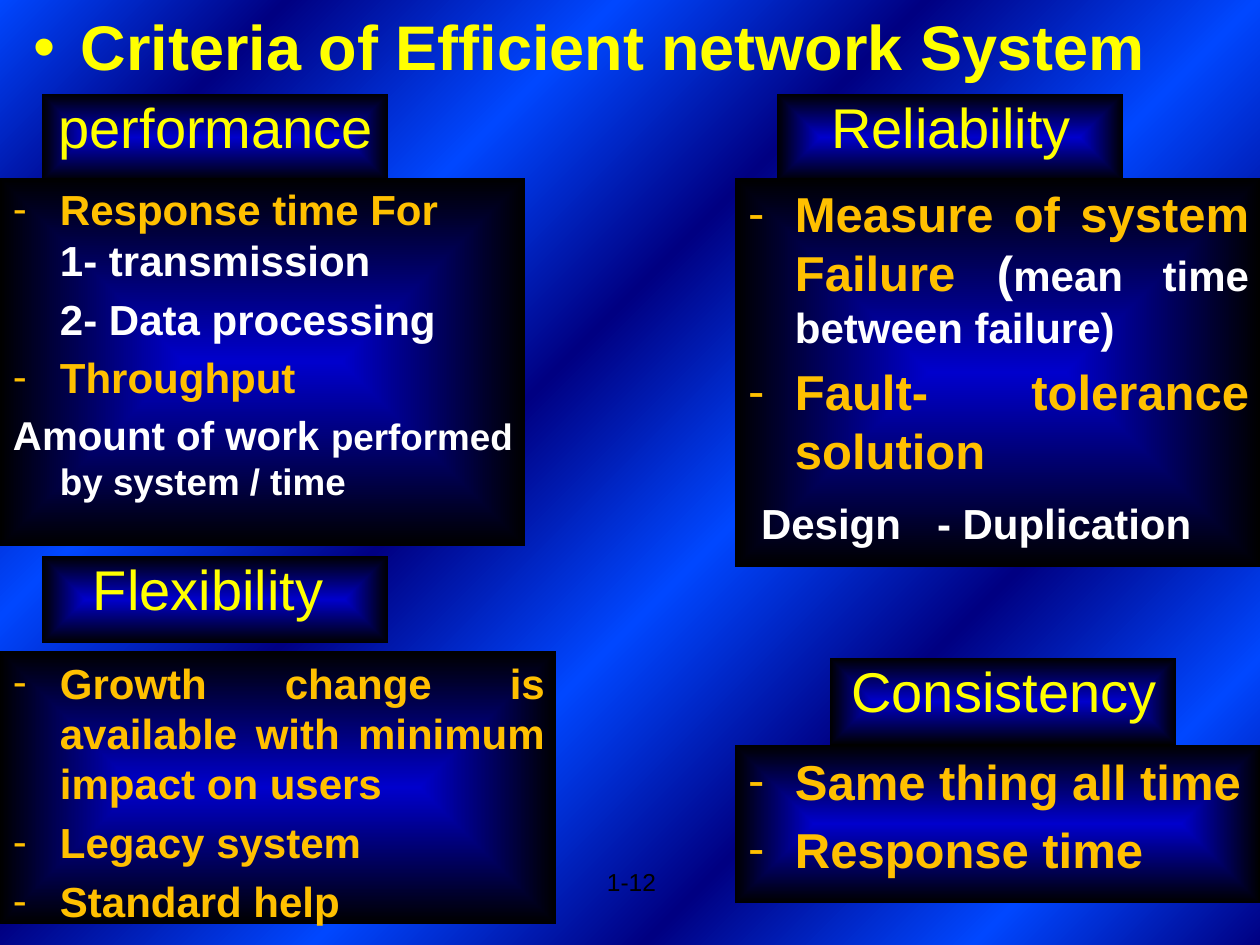
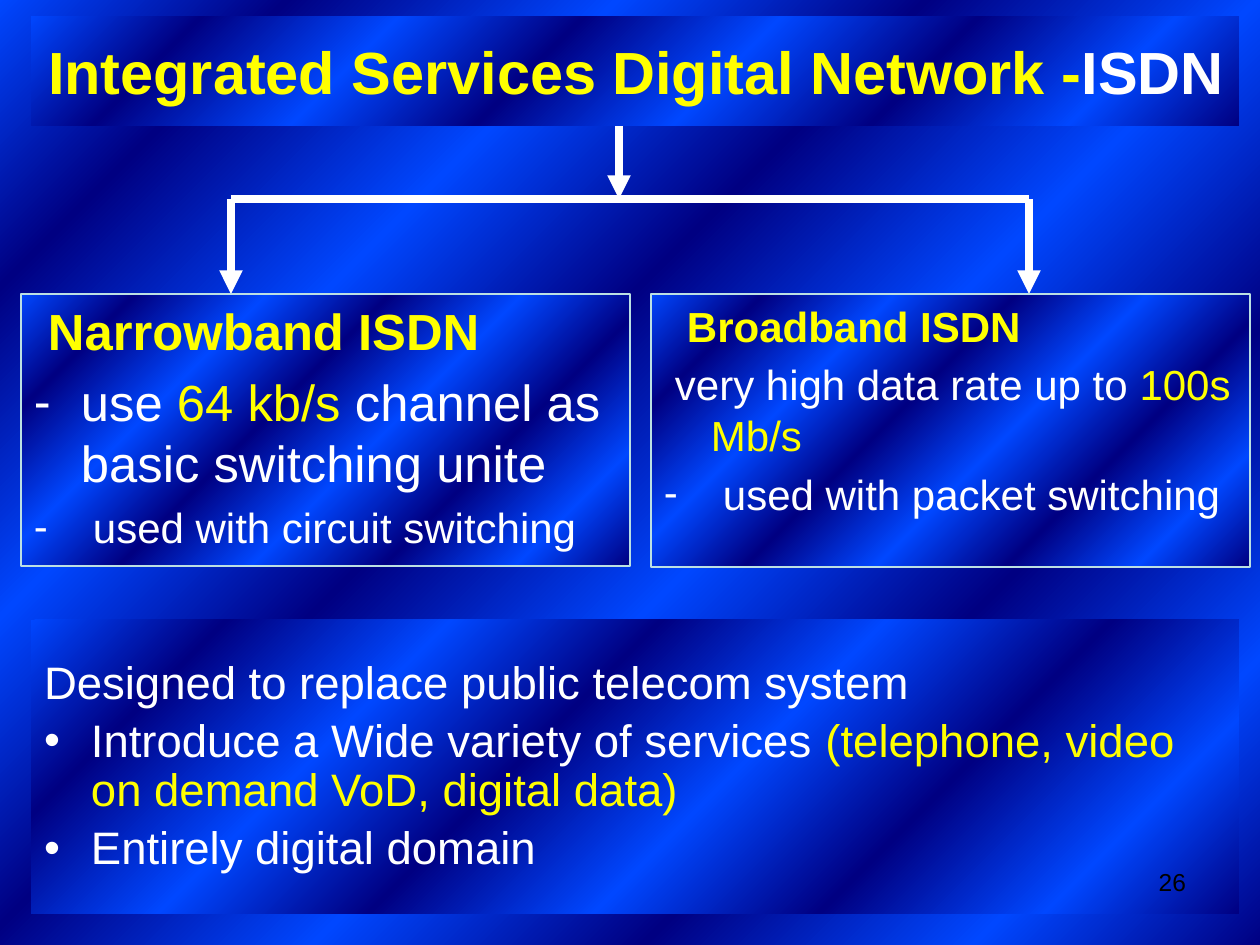
from dataclasses import dataclass
from typing import Any, Optional

import pptx
import pptx.dml.color
import pptx.enum.shapes
import pptx.enum.text
import pptx.oxml
import pptx.oxml.ns
import pptx.util

RGB = pptx.dml.color.RGBColor
ALIGN = pptx.enum.text.PP_ALIGN
ANCHOR = pptx.enum.text.MSO_ANCHOR
qn = pptx.oxml.ns.qn

WHITE = RGB(0xFF, 0xFF, 0xFF)
BLACK = RGB(0, 0, 0)
YELLOW = RGB(0xFF, 0xFF, 0)
GOLD = RGB(0xFF, 0xC0, 0)
PALE = RGB(0xBB, 0xE0, 0xE3)
NAVY = RGB(0, 0, 0x82)
BRIGHT = RGB(0, 0x47, 0xFF)
DEEP = RGB(0, 0, 0xCC)

FACE = "Arial"
SCALE = 914400 / 126
HANG = 47
INSET = 6
GAP = 0.2


@dataclass(frozen=True)
class Blend:
    stops: tuple
    shape: str
    focus: tuple


@dataclass(frozen=True)
class Run:
    text: str
    size: int
    color: RGB
    bold: bool = False
    wrap: bool = False


@dataclass(frozen=True)
class Para:
    runs: tuple
    bullet: str = ""
    align: Any = ALIGN.LEFT
    left: int = HANG
    first: int = -HANG
    lead: float = 1.0
    before: Optional[float] = None
    tabs: tuple = ()


@dataclass(frozen=True)
class Box:
    x: int
    y: int
    w: int
    h: int


@dataclass(frozen=True)
class Panel:
    name: str
    head: Box
    body: Box
    paras: tuple


WAVES = Blend(
    tuple((at, BRIGHT if i % 2 else NAVY)
          for i, at in enumerate((0, 13, 28, 43, 58, 72, 87, 100))),
    "circle", (100, 100, 0, 0))
GLOW = Blend(((0, DEEP), (100, BLACK)), "shape", (50, 50, 50, 50))


def px(n: int) -> pptx.util.Emu:
    return pptx.util.Emu(round(n * SCALE))


def put(obj: Any, vals: dict) -> None:
    for key, val in vals.items():
        setattr(obj, key, val)


def add(root: Any, tag: str, **vals: Any) -> Any:
    node = pptx.oxml.parse_xml(f"<{tag} {pptx.oxml.ns.nsdecls('a')}/>")
    for key, val in vals.items():
        node.set(key, str(val))
    root.append(node)
    return node


def shade(fill: Any, root: Any, blend: Blend) -> None:
    fill.gradient()
    node = root.find(".//" + qn("a:gradFill"))
    for child in list(node):
        node.remove(child)
    stops = add(node, "a:gsLst")
    for at, color in blend.stops:
        add(add(stops, "a:gs", pos=at * 1000), "a:srgbClr", val=color)
    way = add(node, "a:path", path=blend.shape)
    sides = {side: n * 1000 for side, n in zip("ltrb", blend.focus)}
    add(way, "a:fillToRect", **sides)


def write(shape: Any, paras: tuple, top: int = INSET,
          anchor: Any = ANCHOR.TOP) -> None:
    frame = shape.text_frame
    put(frame, {
        "word_wrap": True, "auto_size": pptx.enum.text.MSO_AUTO_SIZE.NONE,
        "vertical_anchor": anchor, "margin_top": px(top), "margin_bottom": px(6),
        "margin_left": px(13), "margin_right": px(11)})
    for i, para in enumerate(paras):
        line = frame.add_paragraph() if i else frame.paragraphs[0]
        props = line._p.get_or_add_pPr()
        props.set("marL", str(px(para.left)))
        props.set("indent", str(px(para.first)))
        if para.bullet:
            add(props, "a:buFont", typeface=FACE)
            add(props, "a:buChar", char=para.bullet)
        else:
            add(props, "a:buNone")
        if para.tabs:
            stops = add(props, "a:tabLst")
            for at in para.tabs:
                add(stops, "a:tab", pos=px(at), algn="l")
        gap = para.runs[0].size * GAP if para.before is None else para.before
        put(line, {"alignment": para.align, "line_spacing": para.lead,
                   "space_before": pptx.util.Pt(gap if i else 0)})
        for run in para.runs:
            if run.wrap:
                line.add_line_break()
            part = line.add_run()
            part.text = run.text
            put(part.font, {"name": FACE, "size": pptx.util.Pt(run.size),
                            "bold": run.bold})
            part.font.color.rgb = run.color


def place(shape: Any, box: Box) -> None:
    put(shape, {"left": px(box.x), "top": px(box.y),
                "width": px(box.w), "height": px(box.h)})


def block(slide: Any, box: Box, blend: Blend, paras: tuple,
          edge: Optional[RGB] = None) -> None:
    kind = pptx.enum.shapes.MSO_SHAPE.RECTANGLE
    shape = slide.shapes.add_shape(kind, 0, 0, 0, 0)
    place(shape, box)
    shape.shadow.inherit = False
    shade(shape.fill, shape._element, blend)
    if edge is None:
        shape.line.fill.background()
    else:
        shape.line.color.rgb = edge
        shape.line.width = pptx.util.Pt(0.75)
    write(shape, paras)


def number(slide: Any, box: Box, text: str, align: Any) -> None:
    shape = slide.shapes.add_textbox(0, 0, 0, 0)
    place(shape, box)
    write(shape, (Para((Run(text, 14, BLACK),), align=align, left=0, first=0),))


def link(slide: Any, ends: tuple, arrow: bool) -> None:
    kind = pptx.enum.shapes.MSO_CONNECTOR.STRAIGHT
    line = slide.shapes.add_connector(kind, *map(px, ends))
    line.line.color.rgb = WHITE
    line.line.width = pptx.util.Pt(4.5)
    props = line._element.spPr
    if arrow:
        add(props.find(qn("a:ln")), "a:tailEnd", type="triangle")
    add(props, "a:effectLst")


def point(text: str, size: int) -> Para:
    return Para((Run(text, size, GOLD, True),), "-", ALIGN.JUSTIFY)


def head(x: int, y: int) -> Box:
    return Box(x, y, 346, 87)


PANELS = (
    Panel("performance", head(42, 94), Box(0, 178, 525, 368), (
        Para((Run("Response time For", 24, GOLD, True),
              Run("1- transmission", 24, WHITE, True, True)), "-"),
        Para((Run("2- Data processing", 24, WHITE, True),), first=0),
        point("Throughput", 24),
        Para((Run("Amount of work ", 23, WHITE, True),
              Run("performed by system / time", 21, WHITE, True))))),
    Panel("Reliability", head(777, 94), Box(735, 178, 525, 389), (
        Para((Run("Measure of system Failure", 28, GOLD, True),
              Run(" (", 28, WHITE, True),
              Run("mean time between failure)", 24, WHITE, True)),
             "-", ALIGN.JUSTIFY),
        point("Fault- tolerance solution", 28),
        Para((Run("Design\t- Duplication", 24, WHITE, True),),
             left=0, first=13, before=10, tabs=(188,)))),
    Panel("Consistency", head(830, 658), Box(735, 745, 525, 158), (
        point("Same thing all time", 28),
        point("Response time", 28))),
    Panel("Flexibility ", head(42, 556), Box(0, 651, 556, 273), (
        point("Growth change is available with minimum impact on users", 24),
        point("Legacy system", 24),
        point("Standard help", 24))),
)

NARROW = (
    Para((Run("Narrowband ISDN", 29, YELLOW, True),), first=14 - HANG),
    Para((Run("use ", 29, WHITE), Run("64 kb/s", 29, YELLOW),
          Run(" channel as basic switching unite", 29, WHITE)), "-"),
    Para((Run("used with circuit switching", 24, WHITE),), "-", left=59, first=-59),
)
BROAD = (
    Para((Run("Broadband ISDN", 24, YELLOW, True),), first=23 - HANG),
    Para((Run("very high data rate up to ", 24, WHITE),
          Run("100s Mb/s", 24, YELLOW)), first=11 - HANG),
    Para((Run("used with packet switching", 24, WHITE),), "-", left=59, first=-59),
)
GOALS = (
    Para((Run("Designed to replace public telecom system", 26, WHITE),), lead=0.9),
    Para((Run("Introduce a Wide variety of services ", 26, WHITE),
          Run("(telephone, video on demand VoD, digital data)", 26, YELLOW)),
         "•", lead=0.9),
    Para((Run("Entirely digital domain", 26, WHITE),), "•", lead=0.9),
)
LINKS = (
    ((231, 199, 1029, 199), False),
    ((231, 199, 231, 294), True),
    ((1029, 199, 1029, 294), True),
    ((619, 126, 619, 199), True),
)


def goals(deck: Any) -> None:
    slide = deck.slides.add_slide(deck.slide_layouts[5])
    title = slide.shapes.title
    place(title, Box(21, 10, 1229, 82))
    write(title, (Para((Run("Criteria of Efficient network System", 36, YELLOW, True),),
                       "•", lead=0.9),))
    number(slide, Box(431, 861, 399, 66), "1-12", ALIGN.CENTER)
    for panel in PANELS:
        name = Para((Run(panel.name, 32, YELLOW),), align=ALIGN.CENTER,
                    left=0, first=0, lead=0.9)
        block(slide, panel.head, GLOW, (name,))
        block(slide, panel.body, GLOW, panel.paras)


def isdn(deck: Any) -> None:
    slide = deck.slides.add_slide(deck.slide_layouts[1])
    title, body = slide.shapes.title, slide.placeholders[1]
    for shape, box in ((title, Box(31, 16, 1208, 110)),
                       (body, Box(31, 620, 1208, 294))):
        place(shape, box)
        shade(shape.fill, shape._element, WAVES)
    write(title, (Para((Run("Integrated Services Digital Network -", 34, YELLOW, True),
                        Run("ISDN", 34, WHITE, True)),
                       align=ALIGN.CENTER, left=0, first=0),), anchor=ANCHOR.MIDDLE)
    write(body, GOALS, 40)
    for ends, arrow in LINKS:
        link(slide, ends, arrow)
    block(slide, Box(21, 294, 609, 272), WAVES, NARROW, PALE)
    block(slide, Box(651, 294, 599, 273), WAVES, BROAD, PALE)
    number(slide, Box(903, 861, 294, 66), "26", ALIGN.RIGHT)


def main() -> None:
    deck = pptx.Presentation()
    put(deck, {"slide_width": px(1260), "slide_height": px(945)})
    base = deck.slide_master
    shade(base.background.fill, base._element, WAVES)
    goals(deck)
    isdn(deck)
    deck.save("out.pptx")


if __name__ == "__main__":
    main()
